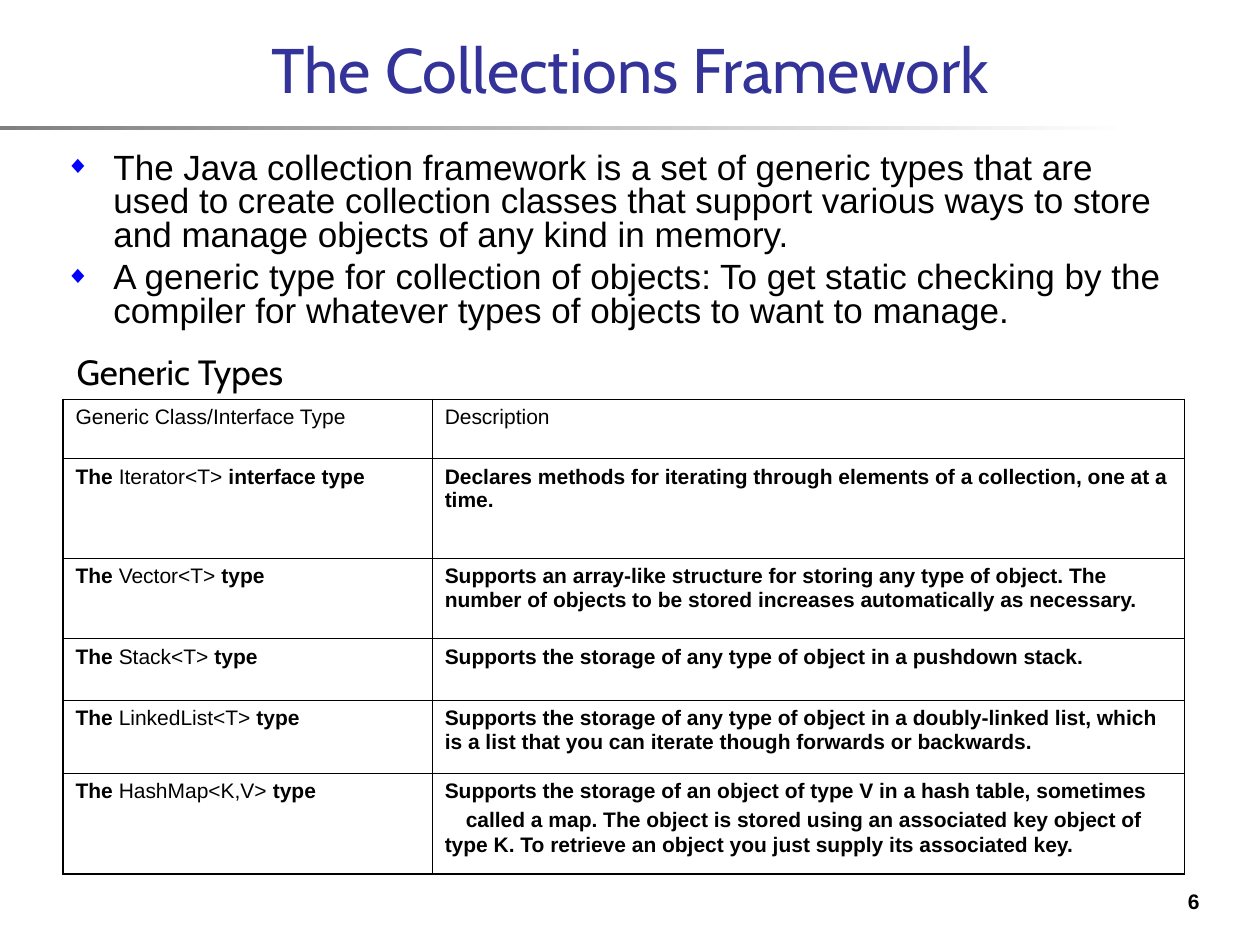
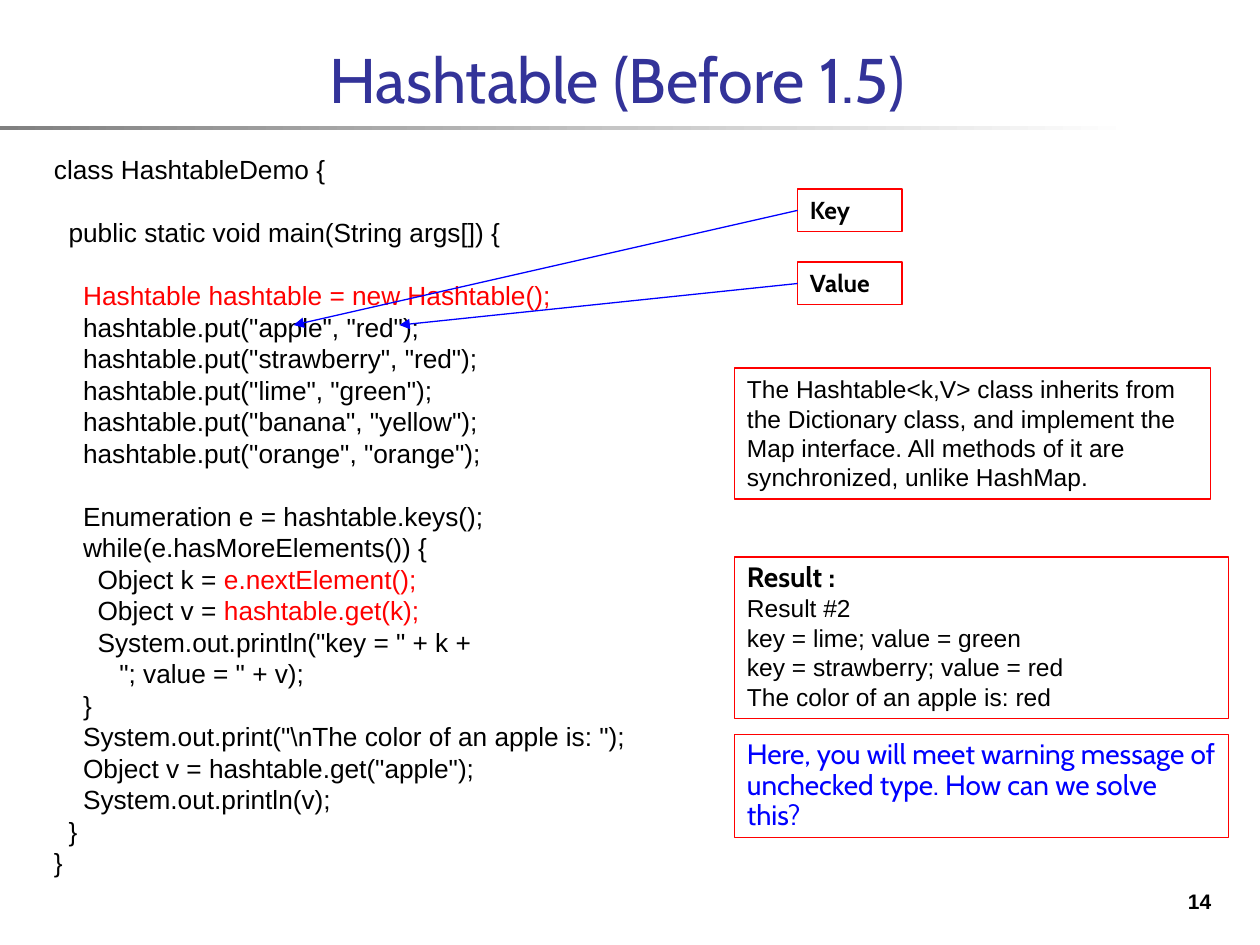
from dataclasses import dataclass

from lxml import etree
from pptx import Presentation
from pptx import util as u
from pptx.dml.color import RGBColor
from pptx.enum import shapes, text
from pptx.oxml.ns import qn

BLACK = RGBColor(0, 0, 0)
WHITE = RGBColor(255, 255, 255)
GREY = RGBColor(0x80, 0x80, 0x80)
INDIGO = RGBColor(0x33, 0x33, 0x99)
BLUE = RGBColor(0, 0, 255)
RED = RGBColor(255, 0, 0)
BODY_FONT = "Arial"
DISPLAY_FONT = "Cabin"
OUTER_PT, INNER_PT = 1.08, 0.45


@dataclass(frozen=True)
class Place:
    left: float
    top: float
    width: float
    height: float

    def lengths(self) -> list[u.Length]:
        return [u.Inches(n) for n in (self.left, self.top, self.width, self.height)]


@dataclass(frozen=True)
class Span:
    """Text with its own format where it differs from its paragraph."""
    text: str
    color: RGBColor | None = None
    bold: bool | None = None
    font: str | None = None
    size: float | None = None


@dataclass(frozen=True)
class Label:
    text: str
    place: Place
    target: tuple[float, float]


Line = str | list[Span]

FRAMEWORK_POINTS: list[Line] = [
    "The Java collection framework is a set of generic types that are used to create "
    "collection classes that support various ways to store and manage objects of any "
    "kind in memory.",
    "A generic type for collection of objects: To get static checking by the compiler "
    "for whatever types of objects to want to manage.",
]
GENERIC_TYPES = [
    ("Iterator<T>", "interface type",
     "Declares methods for iterating through elements of a collection, one at a time."),
    ("Vector<T>", "type",
     "Supports an array-like structure for storing any type of object. The number of "
     "objects to be stored increases automatically as necessary."),
    ("Stack<T>", "type",
     "Supports the storage of any type of object in a pushdown stack."),
    ("LinkedList<T>", "type",
     "Supports the storage of any type of object in a doubly-linked list, which is a "
     "list that you can iterate though forwards or backwards."),
    ("HashMap<K,V>", "type",
     "Supports the storage of an object of type V in a hash table, sometimes "
     "　called a map. The object is stored using an associated key object of type K. "
     "To retrieve an object you just supply its associated key."),
]
COLUMN_WIDTHS = [2.93, 5.97]
ROW_HEIGHTS = [0.47, 0.79, 0.64, 0.49, 0.58, 0.8]

CODE_BLOCKS: list[list[Line]] = [
    ["class HashtableDemo {"],
    ["  public static void main(String args[]) {"],
    [
        [Span("    "), Span("Hashtable hashtable = new Hashtable();", RED)],
        '    hashtable.put("apple", "red");',
        '    hashtable.put("strawberry", "red");',
        '    hashtable.put("lime", "green");',
        '    hashtable.put("banana", "yellow");',
        '    hashtable.put("orange", "orange");',
    ],
    [
        "    Enumeration e = hashtable.keys();",
        "    while(e.hasMoreElements()) {",
        [Span("      Object k = "), Span("e.nextElement();", RED)],
        [Span("      Object v = "), Span("hashtable.get(k);", RED)],
        '      System.out.println("key = " + k +',
        '         "; value = " + v);',
        "    }",
        '    System.out.print("\\nThe color of an apple is: ");',
        '    Object v = hashtable.get("apple");',
        "    System.out.println(v);",
        "  }",
        "}",
    ],
]
CODE_PITCH = u.Pt(18)
NOTE_PITCH = u.Pt(16.8)
LABELS = [
    Label("Key", Place(6.33, 1.5, 0.83, 0.34), (2.33, 2.58)),
    Label("Value", Place(6.33, 2.08, 0.83, 0.34), (3.17, 2.58)),
]


def write(frame, lines: list[Line], *, font: str = BODY_FONT, size: float = 12,
          color: RGBColor = BLACK, bold: bool = False, align=None,
          spacing: float | u.Length | None = None, before: float = 0) -> None:
    """Fill a text frame; space before applies from the second paragraph on."""
    frame.word_wrap = True
    for index, line in enumerate(lines):
        para = frame.add_paragraph() if index else frame.paragraphs[0]
        para.alignment = align
        para.line_spacing = spacing
        para.space_before = u.Pt(before if index else 0)
        for span in [Span(line)] if isinstance(line, str) else line:
            run = para.add_run()
            run.text = span.text
            run.font.name = span.font or font
            run.font.size = u.Pt(span.size or size)
            run.font.bold = bold if span.bold is None else span.bold
            run.font.color.rgb = span.color or color


def add_text(page, place: Place, lines: list[Line], **style):
    box = page.shapes.add_textbox(*place.lengths())
    write(box.text_frame, lines, **style)
    return box


def add_framed_text(page, place: Place, lines: list[Line], **style):
    box = add_text(page, place, lines, **style)
    box.line.color.rgb = RED
    box.line.width = u.Pt(0.75)
    return box


def set_placeholder(box, place: Place, lines: list[Line], **style) -> None:
    box.left, box.top, box.width, box.height = place.lengths()
    box.text_frame.auto_size = text.MSO_AUTO_SIZE.NONE
    write(box.text_frame, lines, **style)


def add_page(deck, layout: int, title: str, title_place: Place, number: int):
    """Add a slide with the shared band, number and title style."""
    page = deck.slides.add_slide(deck.slide_layouts[layout])
    band = page.shapes.add_shape(shapes.MSO_SHAPE.RECTANGLE,
                                 *Place(0, 1, 9, 0.03).lengths())
    band.shadow.inherit = False
    band.line.fill.background()
    band.fill.gradient()
    band.fill.gradient_angle = 0
    for stop, color in zip(band.fill.gradient_stops, (GREY, WHITE)):
        stop.color.rgb = color
    add_text(page, Place(9.33, 7, 0.5, 0.3), [str(number)], bold=True)
    set_placeholder(page.shapes.title, title_place, [title], font=DISPLAY_FONT,
                    size=36, color=INDIGO, align=text.PP_ALIGN.CENTER)
    page.shapes.title.text_frame.vertical_anchor = text.MSO_ANCHOR.MIDDLE
    return page


def add_bullet(para) -> None:
    props = para._p.get_or_add_pPr()
    props.set("marL", str(u.Inches(0.38)))
    props.set("indent", str(-u.Inches(0.38)))
    color = etree.SubElement(props, qn("a:buClr"))
    etree.SubElement(color, qn("a:srgbClr"), val=str(BLUE))
    etree.SubElement(props, qn("a:buSzPct"), val="70000")
    etree.SubElement(props, qn("a:buFont"), typeface=BODY_FONT)
    etree.SubElement(props, qn("a:buChar"), char="◆")


def set_borders(cell, outer_sides: dict[str, bool]) -> None:
    """Draw thick lines on the table's outer sides and thin ones inside."""
    props = cell._tc.get_or_add_tcPr()
    for index, (side, outer) in enumerate(outer_sides.items()):
        width = u.Pt(OUTER_PT if outer else INNER_PT)
        border = etree.Element(qn(f"a:ln{side}"), w=str(width))
        fill = etree.SubElement(border, qn("a:solidFill"))
        etree.SubElement(fill, qn("a:srgbClr"), val=str(BLACK))
        props.insert(index, border)


def add_types_table(page) -> None:
    rows: list[tuple[Line, Line]] = [("Generic Class/Interface Type", "Description")]
    for name, kind, description in GENERIC_TYPES:
        rows.append(([Span("The ", bold=True), Span(name), Span(f" {kind}", bold=True)],
                     [Span(description, bold=True)]))
    place = Place(0.5, 3.17, sum(COLUMN_WIDTHS), sum(ROW_HEIGHTS))
    table = page.shapes.add_table(len(rows), len(COLUMN_WIDTHS), *place.lengths()).table
    table.first_row = table.horz_banding = False
    for column, width in zip(table.columns, COLUMN_WIDTHS):
        column.width = u.Inches(width)
    for r, (row, height) in enumerate(zip(rows, ROW_HEIGHTS)):
        table.rows[r].height = u.Inches(height)
        for c, line in enumerate(row):
            cell = table.cell(r, c)
            cell.fill.background()
            write(cell.text_frame, [line])
            set_borders(cell, {"L": c == 0, "R": c == len(row) - 1,
                               "T": r == 0, "B": r == len(rows) - 1})


def add_label(page, label: Label) -> None:
    """Add a framed label and an arrow from its left side to the code."""
    box = add_framed_text(page, label.place, [label.text], font=DISPLAY_FONT,
                          size=14, bold=True)
    end = [u.Inches(n) for n in label.target]
    arrow = page.shapes.add_connector(shapes.MSO_CONNECTOR.STRAIGHT,
                                      box.left, box.top, *end)
    arrow.begin_connect(box, 1)
    arrow.line.color.rgb = BLUE
    arrow.line.width = u.Pt(0.75)
    etree.SubElement(arrow.line._get_or_add_ln(), qn("a:tailEnd"), type="triangle")
    etree.SubElement(arrow._element.spPr, qn("a:effectLst"))


def build_framework_page(deck) -> None:
    page = add_page(deck, 1, "The Collections Framework", Place(0.5, 0.17, 9, 0.75), 6)
    body = page.placeholders[1]
    set_placeholder(body, Place(0.42, 1.17, 9, 1.58), FRAMEWORK_POINTS,
                    size=20, spacing=u.Pt(19.2), before=5)
    for para in body.text_frame.paragraphs:
        add_bullet(para)
    add_types_table(page)
    add_text(page, Place(0.51, 2.73, 3.46, 0.44), ["Generic Types"],
             font=DISPLAY_FONT, size=20)


def build_hashtable_page(deck) -> None:
    page = add_page(deck, 5, "Hashtable (Before 1.5)", Place(1.17, 0.33, 7.46, 0.58), 14)
    code = add_text(page, Place(0.33, 1.17, 4.89, 5.85), sum(CODE_BLOCKS, []),
                    size=15, spacing=CODE_PITCH)
    start = 0
    for block in CODE_BLOCKS[:-1]:
        start += len(block)
        code.text_frame.paragraphs[start].space_before = CODE_PITCH

    result = add_framed_text(
        page, Place(5.83, 4.42, 3.92, 1.28),
        [[Span("Result :", font=DISPLAY_FONT, size=16, bold=True)],
         "Result #2",
         "key = lime; value = green",
         "key = strawberry; value = red",
         "The color of an apple is: red"],
        size=14, spacing=NOTE_PITCH)
    result.text_frame.paragraphs[0].line_spacing = 0.9
    for label in LABELS:
        add_label(page, label)
    add_framed_text(
        page, Place(5.83, 2.92, 3.78, 1.04),
        ["The Hashtable<k,V> class inherits from the Dictionary class, and implement "
         "the Map interface. All methods of it are synchronized, unlike HashMap."],
        size=14, spacing=NOTE_PITCH)
    add_framed_text(
        page, Place(5.83, 5.83, 3.92, 0.82),
        ["Here, you will meet warning message of unchecked type. "
         "How can we solve this?"],
        font=DISPLAY_FONT, size=16, color=BLUE, spacing=0.9)


def main() -> None:
    deck = Presentation()
    deck.slide_width, deck.slide_height = u.Inches(10), u.Inches(7.5)
    build_framework_page(deck)
    build_hashtable_page(deck)
    deck.save("out.pptx")


if __name__ == "__main__":
    main()
